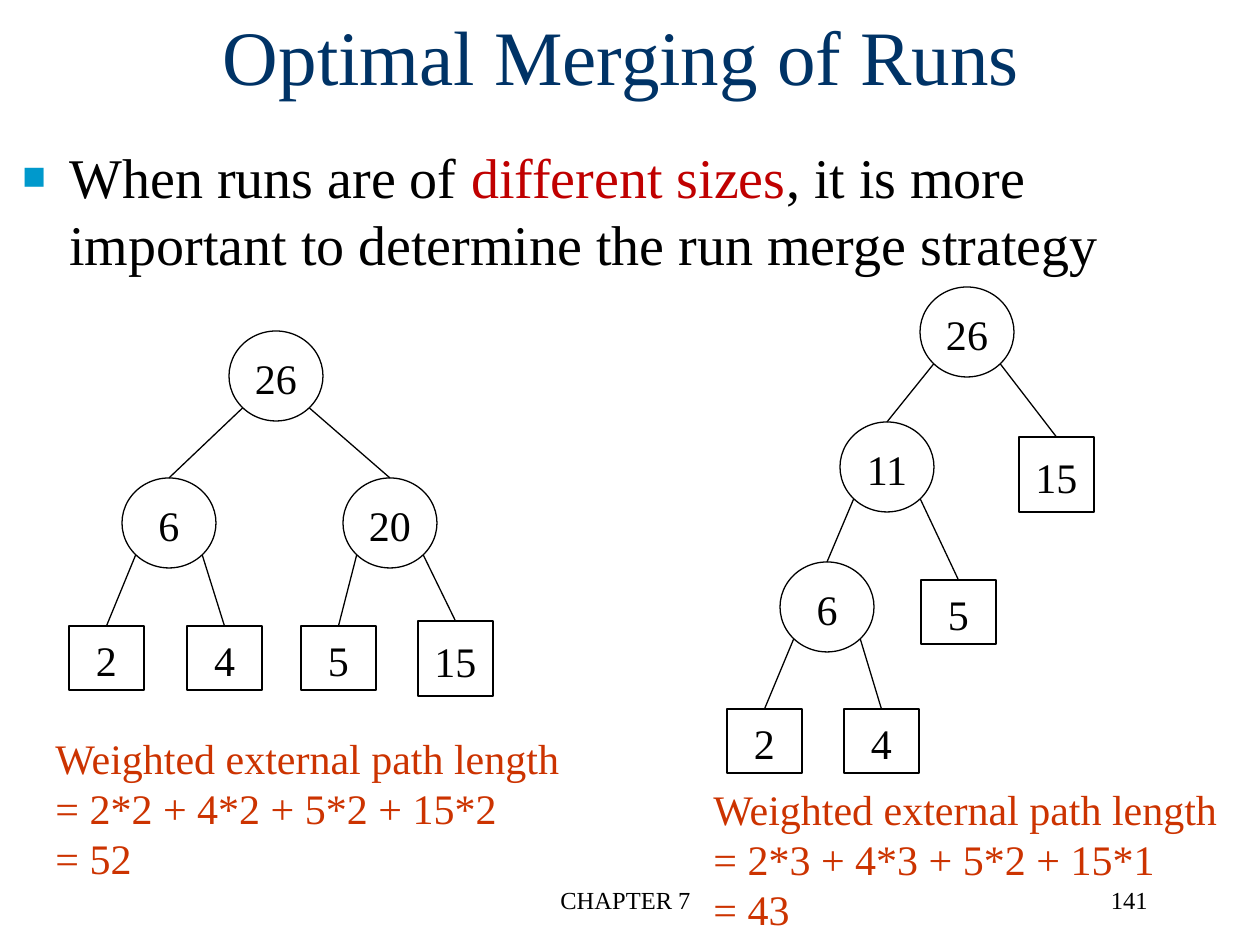
from math import sqrt

from lxml.etree import SubElement
from pptx import Presentation
from pptx.dml.color import RGBColor
from pptx.enum.shapes import MSO_CONNECTOR, MSO_SHAPE
from pptx.enum.text import MSO_ANCHOR, PP_ALIGN
from pptx.oxml.ns import qn
from pptx.util import Pt

SCALE = 914400 / 126
BLACK = RGBColor(0x00, 0x00, 0x00)
NAVY = RGBColor(0x00, 0x33, 0x66)
CYAN = RGBColor(0x00, 0x99, 0xCC)
RED = RGBColor(0xC0, 0x00, 0x00)
RUST = RGBColor(0xCC, 0x33, 0x00)
FACE = "Times New Roman"
ROUND = (94, 90)
FLAT = (75, 64)
TALL = (75, 75)

LEFT = ("26", 160, 0, ROUND, [
    ("6", 53, 147, ROUND, [
        ("2", 0, 295, FLAT, []),
        ("4", 118, 295, FLAT, [])]),
    ("20", 274, 147, ROUND, [
        ("5", 232, 295, FLAT, []),
        ("15", 349, 290, TALL, [])])])
RIGHT = ("26", 193, 0, ROUND, [
    ("11", 113, 135, ROUND, [
        ("6", 53, 275, ROUND, [
            ("2", 0, 422, FLAT, []),
            ("4", 117, 422, FLAT, [])]),
        ("5", 194, 293, FLAT, [])]),
    ("15", 292, 150, TALL, [])])


def px(*nums):
    """Turn pixel lengths into EMU."""
    return [round(num * SCALE) for num in nums]


def assign(item, values):
    """Set each named value on an item."""
    for name, value in values.items():
        setattr(item, name, value)


def write(para, text, size, color):
    """Add one styled run to a paragraph."""
    run = para.add_run()
    run.text = text
    assign(run.font, {"name": FACE, "size": Pt(size)})
    run.font.color.rgb = color


def label(slide, box, lines, size, color, align=PP_ALIGN.LEFT,
          anchor=MSO_ANCHOR.TOP, wrap=True):
    """Place plain lines of text in a box."""
    frame = slide.shapes.add_textbox(*px(*box)).text_frame
    assign(frame, {"word_wrap": wrap, "vertical_anchor": anchor})
    for at, line in enumerate(lines):
        para = frame.add_paragraph() if at else frame.paragraphs[0]
        para.alignment = align
        write(para, line, size, color)


def point(slide, box, parts):
    """Place a bulleted paragraph of coloured parts."""
    frame = slide.shapes.add_textbox(*px(*box)).text_frame
    frame.word_wrap = True
    para = frame.paragraphs[0]
    props = para._p.get_or_add_pPr()
    indent = px(47)[0]
    props.set("marL", str(indent))
    props.set("indent", str(-indent))
    tint = SubElement(props, qn("a:buClr"))
    SubElement(tint, qn("a:srgbClr")).set("val", str(CYAN))
    SubElement(props, qn("a:buSzPct")).set("val", "70000")
    SubElement(props, qn("a:buFont")).set("typeface", FACE)
    SubElement(props, qn("a:buChar")).set("char", "■")
    for text, color in parts:
        write(para, text, 32, color)


def ink(item):
    """Give an outline or edge its thin black line."""
    item.line.color.rgb = BLACK
    item.line.width = Pt(0.75)


def edge(group, start, child):
    """Draw a line from a start point to the top of a child."""
    link = group.shapes.add_connector(MSO_CONNECTOR.STRAIGHT, *start, *start)
    link.end_connect(child, 0)
    ink(link)
    SubElement(link._element.spPr, qn("a:effectLst"))


def grow(group, node, left, top):
    """Draw a node and all its branches, and return its shape."""
    text, x, y, size, kids = node
    kind = MSO_SHAPE.OVAL if size == ROUND else MSO_SHAPE.RECTANGLE
    shape = group.shapes.add_shape(kind, *px(left + x, top + y, *size))
    shape.shadow.inherit = False
    shape.fill.background()
    ink(shape)
    frame = shape.text_frame
    assign(frame, {"margin_left": 0, "margin_right": 0, "margin_top": px(4)[0],
                   "margin_bottom": 0, "word_wrap": False,
                   "vertical_anchor": MSO_ANCHOR.MIDDLE})
    frame.paragraphs[0].alignment = PP_ALIGN.CENTER
    write(frame.paragraphs[0], text, 24, BLACK)
    width, height = size
    low = top + y + height / 2 * (1 + sqrt(0.5))
    for side, kid in zip((-1, 1), kids):
        out = left + x + width / 2 * (1 + side * sqrt(0.5))
        edge(group, px(out, low), grow(group, kid, left, top))
    return shape


def tree(slide, left, top, root):
    """Place a merge tree at the given corner."""
    grow(slide.shapes.add_group_shape(), root, left, top)


def main():
    """Build and save the slide."""
    deck = Presentation()
    assign(deck, dict(zip(("slide_width", "slide_height"), px(1260, 945))))
    slide = deck.slides.add_slide(deck.slide_layouts[6])
    label(slide, (426, 879, 399, 63), ["CHAPTER 7"], 14, BLACK, PP_ALIGN.CENTER)
    label(slide, (898, 879, 262, 63), ["141"], 14, BLACK, PP_ALIGN.RIGHT)
    label(slide, (86, -24, 1071, 158), ["Optimal Merging of Runs"], 44, NAVY,
          PP_ALIGN.CENTER, MSO_ANCHOR.MIDDLE)
    point(slide, (10, 136, 1230, 183), [
        ("When runs are of ", BLACK),
        ("different sizes", RED),
        (", it is more important to determine the run merge strategy", BLACK)])
    tree(slide, 727, 287, RIGHT)
    tree(slide, 69, 331, LEFT)
    for left, top, total, result in (
            (701, 777, "= 2*3 + 4*3 + 5*2 + 15*1", "= 43"),
            (43, 726, "= 2*2 + 4*2 + 5*2 + 15*2", "= 52")):
        label(slide, (left, top, 533, 165),
              ["Weighted external path length", total, result],
              24, RUST, wrap=False)
    deck.save("out.pptx")


if __name__ == "__main__":
    main()
